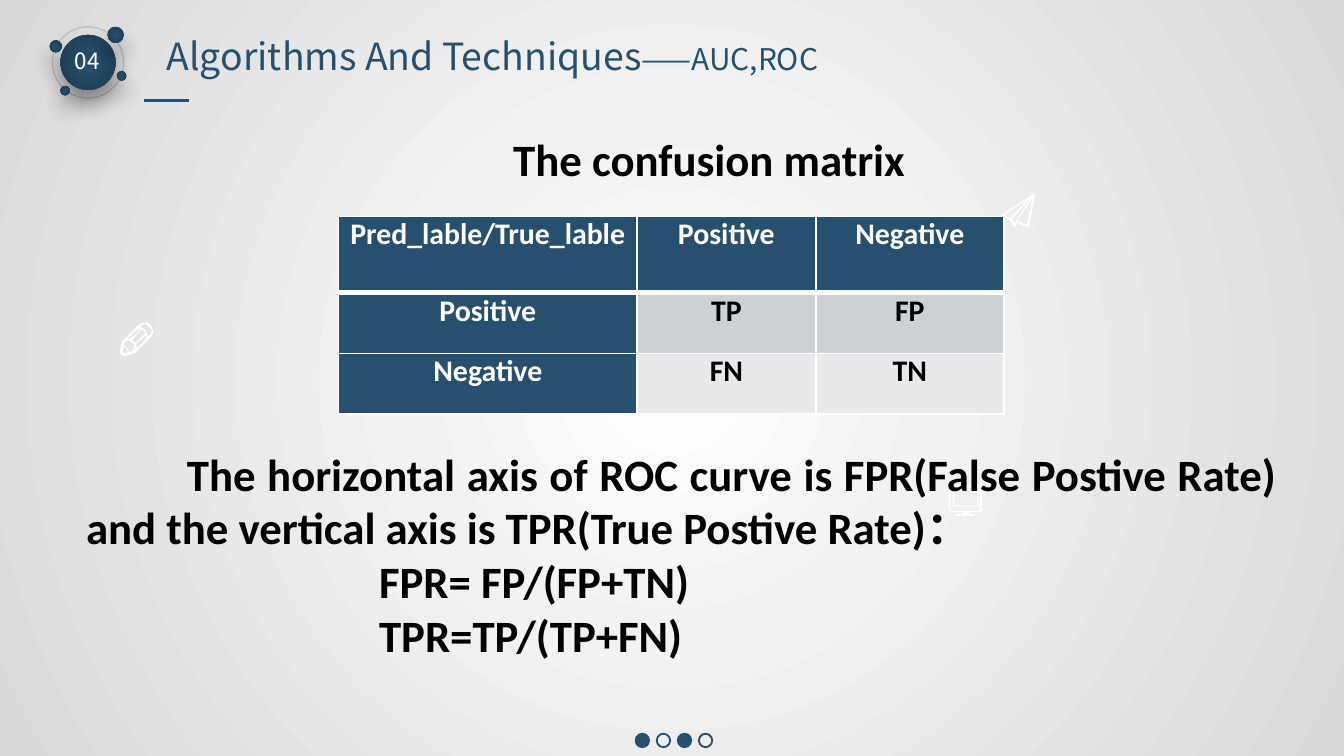
import pptx
import pptx.util
import pptx.dml.color
import pptx.enum.shapes
import pptx.enum.text
import pptx.oxml
import pptx.oxml.ns
from pptx.util import Inches, Pt

RGBColor = pptx.dml.color.RGBColor
OVAL = pptx.enum.shapes.MSO_SHAPE.OVAL
ALIGN = pptx.enum.text.PP_ALIGN
qn = pptx.oxml.ns.qn
NS = pptx.oxml.ns.nsdecls("a")

NAVY = RGBColor(0x27, 0x50, 0x6E)
DEEP = RGBColor(0x1D, 0x3C, 0x52)
WHITE = RGBColor(0xFF, 0xFF, 0xFF)
PALE = RGBColor(0xF2, 0xF2, 0xF2)
SILVER = RGBColor(0xD9, 0xD9, 0xD9)
RING = RGBColor(0xBF, 0xBF, 0xBF)
BLACK = RGBColor(0, 0, 0)
BAND1 = RGBColor(0xCD, 0xD0, 0xD5)
BAND2 = RGBColor(0xE8, 0xE9, 0xEB)


def radial(fill, owner, stops):
    """Give fill a centred circular gradient; owner is the XML that holds it."""
    fill.gradient()
    grad = owner.find(".//" + qn("a:gradFill"))
    for child in list(grad):
        grad.remove(child)
    gs = "".join(f'<a:gs pos="{pos * 1000}"><a:srgbClr val="{color}"/></a:gs>' for pos, color in stops)
    grad.append(pptx.oxml.parse_xml(f"<a:gsLst {NS}>{gs}</a:gsLst>"))
    grad.append(pptx.oxml.parse_xml(
        f'<a:path {NS} path="circle"><a:fillToRect l="50000" t="50000" r="50000" b="50000"/></a:path>'))


def add_run(p, text, size, font, color, bold=False):
    """Add one formatted run to a paragraph."""
    r = p.add_run()
    r.text = text
    r.font.size, r.font.name, r.font.bold = Pt(size), font, bold
    r.font.color.rgb = color


prs = pptx.Presentation()
prs.slide_width, prs.slide_height = Pt(720), Pt(405)
s = prs.slides.add_slide(prs.slide_layouts[1])
radial(s.background.fill, s._element, [(0, WHITE), (35, PALE), (100, SILVER)])

# Section badge
ring = s.shapes.add_shape(OVAL, Inches(0.39), Inches(0.2), Inches(0.53), Inches(0.53))
ring.shadow.inherit = False
ring.fill.background()
ring.line.color.rgb, ring.line.width = RING, Pt(0.75)
for x, y, d in [(0.45, 0.26, 0.41), (0.8, 0.2, 0.12), (0.37, 0.3, 0.09),
                (0.45, 0.64, 0.07), (0.87, 0.53, 0.07)]:
    disc = s.shapes.add_shape(OVAL, Inches(x), Inches(y), Inches(d), Inches(d))
    radial(disc.fill, disc._element.spPr, [(0, NAVY), (100, DEEP)])
    disc.line.fill.background()
    disc.shadow.inherit = False
    disc._element.spPr.find(qn("a:effectLst")).append(pptx.oxml.parse_xml(
        f'<a:outerShdw {NS} blurRad="{Pt(11)}" dist="{Pt(8)}" dir="5400000">'
        '<a:srgbClr val="000000"><a:alpha val="40000"/></a:srgbClr></a:outerShdw>'))

# Page dots
for i in range(4):
    dot = s.shapes.add_shape(OVAL, Inches(4.73 + i * 0.47 / 3), Inches(5.46), Inches(0.1), Inches(0.1))
    dot.shadow.inherit = False
    dot.line.color.rgb, dot.line.width = NAVY, Pt(1)
    if i % 2:
        dot.fill.background()
    else:
        dot.fill.solid()
        dot.fill.fore_color.rgb = NAVY

rule = s.shapes.add_connector(pptx.enum.shapes.MSO_CONNECTOR.STRAIGHT,
                              Inches(1.07), Inches(0.75), Inches(1.41), Inches(0.75))
rule.line.color.rgb, rule.line.width = NAVY, Pt(1.5)
rule._element.spPr.append(pptx.oxml.parse_xml(f"<a:effectLst {NS}/>"))

number = s.shapes.add_textbox(Inches(0.46), Inches(0.3), Inches(0.4), Inches(0.3))
number.text_frame.word_wrap = False
add_run(number.text_frame.paragraphs[0], "04", 12, "Noto Sans CJK SC", WHITE)

# White icons: each is a list of closed outlines, in hundredths of an inch
plane = [
    [(769, 144), (745, 160), (745, 161), (751, 163), (754, 168), (755, 169),
     (757, 166), (765, 169), (766, 168), (770, 145)],
    [(764, 167), (757, 164), (768, 148)],
    [(753, 163), (767, 147), (755, 166)],
    [(747, 160), (765, 148), (752, 162)],
]
screen = [
    [(709, 364), (728, 364), (728, 377), (709, 377)],
    [(710, 365), (727, 365), (727, 376), (710, 376)],
]
monitor = [
    [(708, 361), (728, 361), (730, 362), (731, 364), (731, 379), (730, 381),
     (721, 381), (721, 382), (725, 383), (726, 384), (710, 384), (711, 383),
     (716, 382), (716, 381), (708, 381), (706, 379), (706, 364)],
    [(708, 363), (728, 363), (729, 364), (729, 379), (728, 380), (708, 380),
     (707, 379), (707, 364)],
]
pencil = [
    [(112, 242), (110, 240), (108, 240), (104, 241), (92, 253), (91, 254),
     (89, 261), (89, 263), (92, 265), (100, 263), (101, 262), (113, 250), (114, 246)],
    [(112, 249), (110, 250), (108, 245), (104, 243), (105, 242), (108, 241),
     (111, 243), (113, 246)],
    [(96, 262), (95, 259), (92, 257), (93, 254), (96, 253), (99, 255), (100, 258), (99, 261)],
    [(93, 263), (91, 262), (92, 258), (94, 259), (95, 262)],
    [(97, 252), (95, 252), (101, 246), (105, 245)],
    [(101, 255), (98, 253), (106, 245), (108, 248)],
    [(102, 259), (101, 256), (109, 249), (108, 253)],
]
for icon in (plane, screen, monitor, pencil):
    builder = s.shapes.build_freeform(*icon[0][0], scale=Inches(0.01))
    for i, outline in enumerate(icon):
        if i:
            builder.move_to(*outline[0])
        builder.add_line_segments(outline[1:], close=True)
    sp = builder.convert_to_shape()
    sp.shadow.inherit = False
    sp.fill.solid()
    sp.fill.fore_color.rgb = WHITE
    sp.line.fill.background()

# Heading and title
heading = s.shapes.add_textbox(Inches(2.97), Inches(0.93), Inches(4.06), Inches(0.5))
heading.text_frame.word_wrap = True
p = heading.text_frame.paragraphs[0]
p._p.get_or_add_pPr().set("indent", str(Inches(0.75)))
add_run(p, "The confusion matrix", 24, "Calibri", BLACK, True)

title, body = s.shapes.title, s.placeholders[1]
for sp, box in [(title, (1.14, 0.2, 8.93, 0.44)), (body, (0.54, 3.27, 9.06, 1.72))]:
    sp.left, sp.top, sp.width, sp.height = map(Inches, box)
    tf = sp.text_frame
    tf.word_wrap = True
    tf.auto_size = pptx.enum.text.MSO_AUTO_SIZE.NONE
    tf.vertical_anchor = pptx.enum.text.MSO_ANCHOR.TOP
    s.shapes._spTree.append(sp._element)

p = title.text_frame.paragraphs[0]
p.alignment = ALIGN.LEFT
add_run(p, "Algorithms And Techniques", 20, "Noto Sans CJK SC", NAVY)
add_run(p, "——AUC,ROC", 16, "Noto Sans CJK SC", NAVY)

# Confusion matrix
rows = [("Pred_lable/True_lable", "Positive", "Negative"),
        ("Positive", "TP", "FP"),
        ("Negative", "FN", "TN")]
table = s.shapes.add_table(3, 3, Inches(2.52), Inches(1.61), Inches(4.95), Inches(1.47)).table
table.first_row = table.horz_banding = False
for col, width in zip(table.columns, (2.22, 1.33, 1.4)):
    col.width = Inches(width)
for row, height in zip(table.rows, (0.57, 0.45, 0.45)):
    row.height = Inches(height)
for i, texts in enumerate(rows):
    for j, text in enumerate(texts):
        cell = table.cell(i, j)
        header = i == 0 or j == 0
        cell.margin_left = cell.margin_right = Inches(0.07)
        cell.margin_top = cell.margin_bottom = 0
        cell.fill.solid()
        cell.fill.fore_color.rgb = NAVY if header else (BAND1, BAND2)[i - 1]
        p = cell.text_frame.paragraphs[0]
        p.alignment = ALIGN.CENTER
        add_run(p, text, 16, "Calibri", WHITE if header else BLACK, True)
        for k, side in enumerate("LRTB"):
            thick = (side == "B" and i == 0) or (side == "T" and i == 1)
            cell._tc.get_or_add_tcPr().insert(k, pptx.oxml.parse_xml(
                f'<a:ln{side} {NS} w="{Pt(3 if thick else 1)}"><a:solidFill>'
                f'<a:srgbClr val="{WHITE}"/></a:solidFill></a:ln{side}>'))

# Explanation with formulas
lines = [("The horizontal axis of ROC curve is FPR(False Postive Rate) and the vertical axis "
          "is TPR(True Postive Rate)：", 0, 0.75),
         ("FPR=\u00a0FP/(FP+TN)", 2.18, 0),
         ("TPR=TP/(TP+FN)", 2.18, 0)]
tf = body.text_frame
for i, (text, margin, indent) in enumerate(lines):
    p = tf.add_paragraph() if i else tf.paragraphs[0]
    p.alignment = ALIGN.JUSTIFY
    p.space_before = Pt(0)
    pPr = p._p.get_or_add_pPr()
    pPr.set("marL", str(Inches(margin)))
    pPr.set("indent", str(Inches(indent)))
    pPr.append(pptx.oxml.parse_xml(f"<a:buNone {NS}/>"))
    add_run(p, text, 24, "Calibri", BLACK, True)

prs.save("out.pptx")
